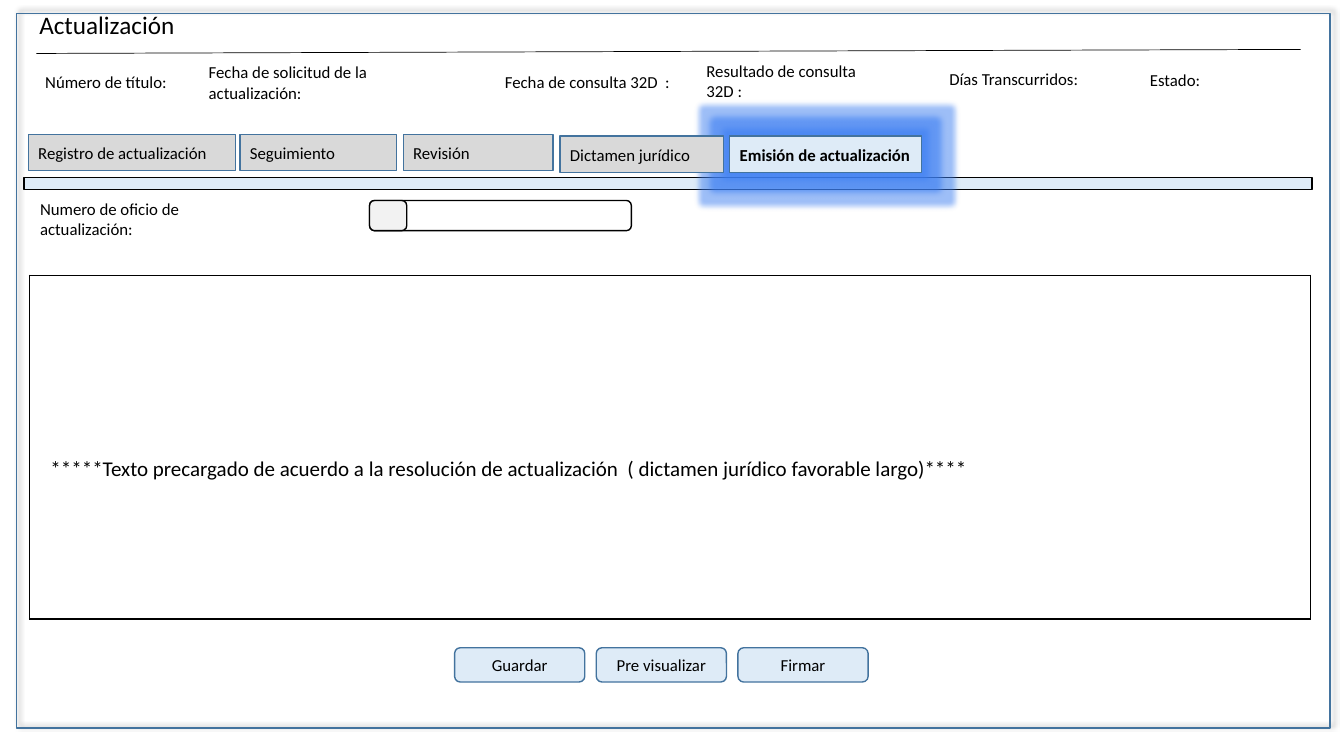
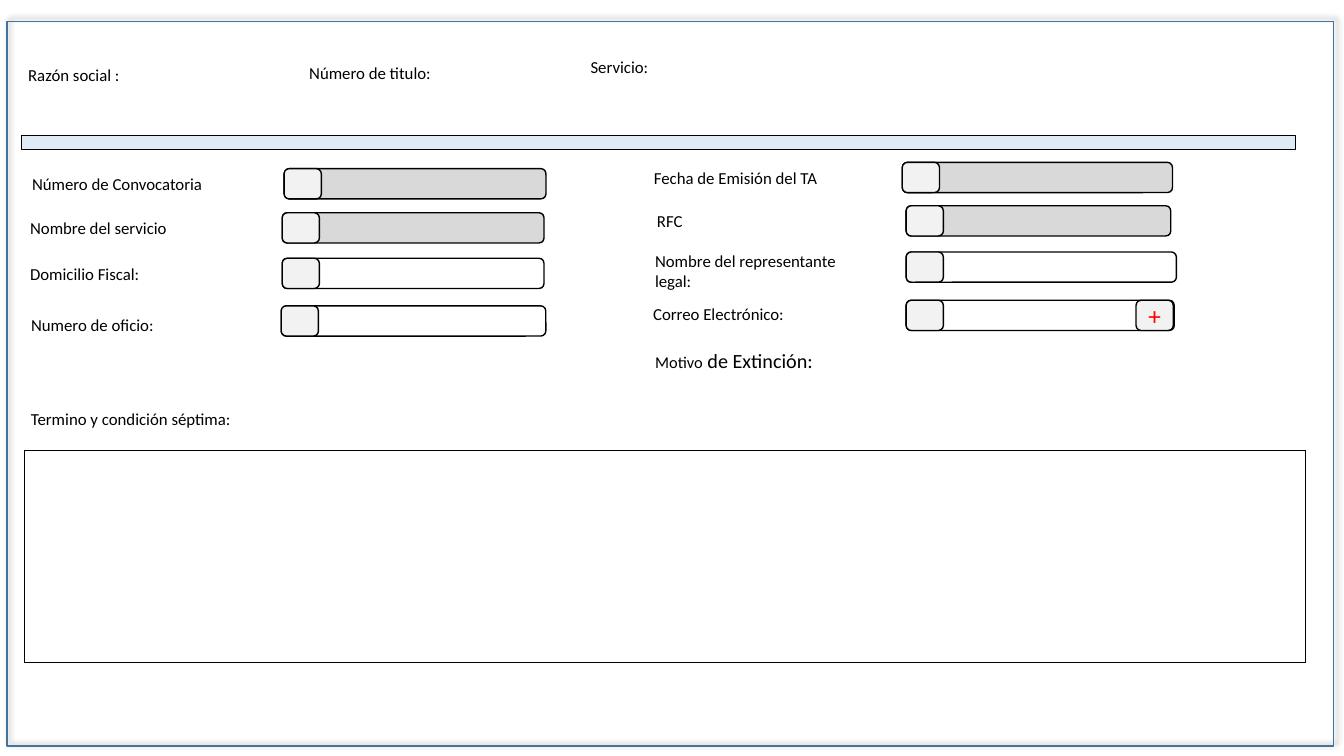
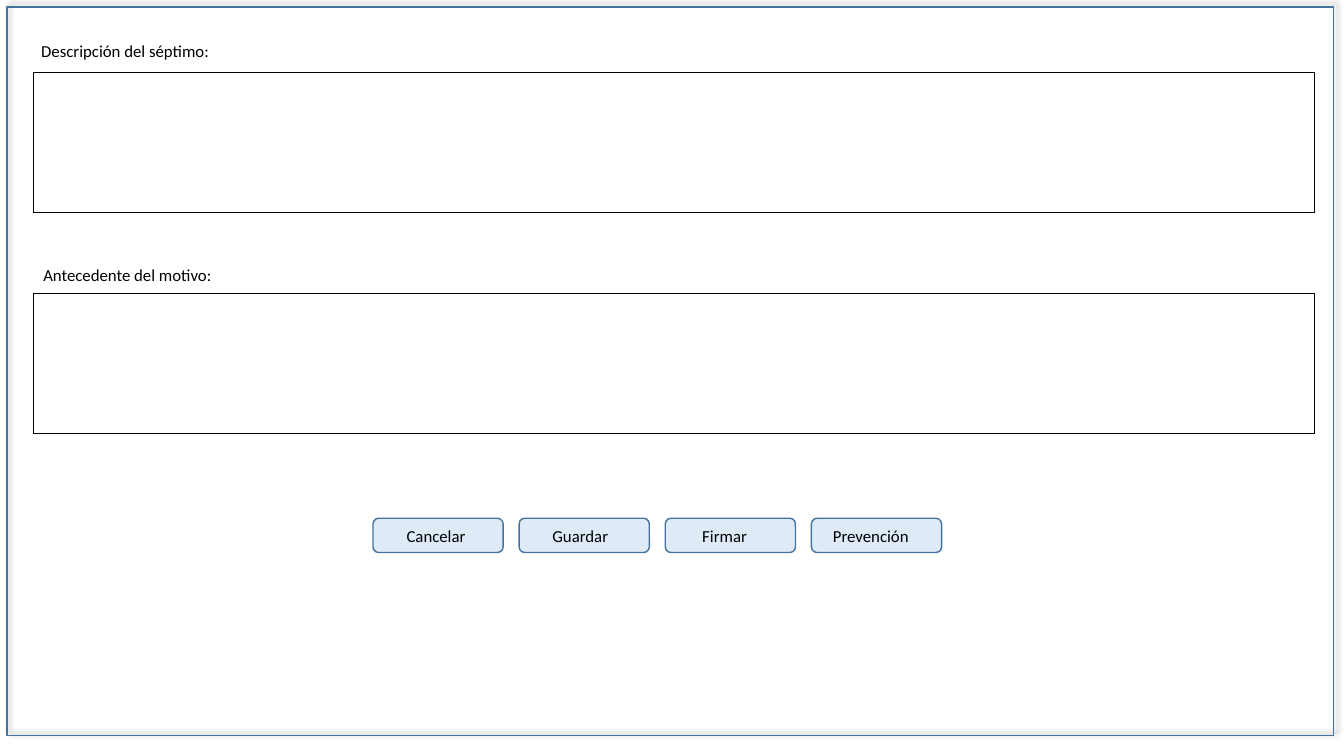
from dataclasses import dataclass

from lxml import etree
from pptx import Presentation
from pptx.dml.color import RGBColor
from pptx.enum import shapes, text
from pptx.oxml import ns
from pptx.util import Pt


@dataclass(frozen=True)
class Theme:
    font: str = "Calibri"
    ink: str = "000000"
    edge: str = "43739E"
    pale: str = "DEEBF7"
    grey: str = "D9D9D9"
    cap: str = "F2F2F2"
    white: str = "FFFFFF"
    alert: str = "FF0000"
    glow: str = "3D7FF3"
    body: float = 12
    reason_start: float = 11.7
    reason_end: float = 14.4
    notice: float = 15
    title: float = 18
    hairline: float = 0.5
    line: float = 1
    inset: float = 7.2


THEME = Theme()
RECT = shapes.MSO_SHAPE.RECTANGLE
ROUND = shapes.MSO_SHAPE.ROUNDED_RECTANGLE
LEFT, CENTER = text.PP_ALIGN.LEFT, text.PP_ALIGN.CENTER


def add_node(parent, tag, **attributes):
    values = {name: str(value) for name, value in attributes.items()}
    return etree.SubElement(parent, ns.qn(tag), values)


def add_color(parent, color, opacity):
    node = add_node(parent, "a:srgbClr", val=color)
    add_node(node, "a:alpha", val=opacity * 1000)


class Form:
    """Draws the parts of a form on the current slide; lengths are in points."""

    def __init__(self, theme):
        self.theme = theme
        self.deck = Presentation()
        self.deck.slide_width, self.deck.slide_height = Pt(960), Pt(540)
        self.page = None

    def new_page(self, left, top, width, height):
        """Adds a slide with its shadowed window frame."""
        self.page = self.deck.slides.add_slide(self.deck.slide_layouts[6])
        frame = self.shape(RECT, left, top, width, height, None, self.theme.edge)
        shadow = add_node(self.effects(frame), "a:outerShdw", blurRad=Pt(4), dist=Pt(3),
                          dir=315 * 60000, algn="bl", rotWithShape=0)
        add_color(shadow, self.theme.ink, 40)

    def effects(self, shape):
        return shape._element.spPr.find(ns.qn("a:effectLst"))

    def shape(self, kind, left, top, width, height, fill, line):
        shape = self.page.shapes.add_shape(kind, Pt(left), Pt(top), Pt(width), Pt(height))
        shape.shadow.inherit = False
        if fill:
            shape.fill.solid()
            shape.fill.fore_color.rgb = RGBColor.from_string(fill)
        else:
            shape.fill.background()
        if line:
            shape.line.color.rgb = RGBColor.from_string(line)
            shape.line.width = Pt(self.theme.line)
        else:
            shape.line.fill.background()
        return shape

    def style(self, span, size, color=None, bold=False):
        span.font.name = self.theme.font
        span.font.size = Pt(size)
        span.font.bold = bold
        span.font.color.rgb = RGBColor.from_string(color or self.theme.ink)

    def put_text(self, shape, words, size=None, align=LEFT, color=None, bold=False):
        frame = shape.text_frame
        frame.text = words
        frame.word_wrap = False
        frame.vertical_anchor = text.MSO_ANCHOR.MIDDLE
        para = frame.paragraphs[0]
        para.alignment = align
        self.style(para.runs[0], size or self.theme.body, color, bold)
        return para

    def label(self, words, left, top, width=140, size=None):
        size = size or self.theme.body
        box = self.page.shapes.add_textbox(Pt(left), Pt(top), Pt(width), Pt(size * 1.2 + 7.2))
        return self.put_text(box, words, size)

    def band(self, left, top, width, height):
        self.shape(RECT, left, top, width, height, self.theme.pale, self.theme.ink)

    def rule(self, x1, y1, x2, y2):
        line = self.page.shapes.add_connector(
            shapes.MSO_CONNECTOR.STRAIGHT, Pt(x1), Pt(y1), Pt(x2), Pt(y2))
        line.line.color.rgb = RGBColor.from_string(self.theme.ink)
        line.line.width = Pt(self.theme.hairline)
        add_node(line._element.spPr, "a:effectLst")

    def halo(self, left, top, width, height):
        """Soft translucent light around the active tab."""
        halo = self.shape(RECT, left, top, width, height, self.theme.glow, None)
        color = halo._element.spPr.find(ns.qn("a:solidFill"))[0]
        add_node(color, "a:alpha", val=50000)
        add_node(self.effects(halo), "a:softEdge", rad=Pt(5))

    def tab(self, words, left, top, width, active=False):
        fill = self.theme.pale if active else self.theme.grey
        tab = self.shape(RECT, left, top, width, 26, fill, self.theme.edge)
        if active:
            glow = add_node(self.effects(tab), "a:glow", rad=Pt(9))
            add_color(glow, self.theme.glow, 60)
        self.put_text(tab, words, bold=active)

    def cap(self, left, top):
        return self.shape(ROUND, left, top, 26.6, 21.6, self.theme.cap, self.theme.ink)

    def field(self, words, label_left, label_top, left, top, width, locked=False):
        """Label, input box and the grey cap at the start of the box."""
        fill = self.theme.grey if locked else self.theme.white
        self.label(words, label_left, label_top, 170)
        self.shape(ROUND, left, top, width, 21.6, fill, self.theme.ink)
        self.cap(left, top)

    def buttons(self, left, top, step, items):
        """Row of buttons; each item is its words and the extra inset on the right."""
        for index, (words, extra) in enumerate(items):
            button = self.shape(ROUND, left + index * step, top, 93, 24.5,
                                self.theme.pale, self.theme.edge)
            self.put_text(button, words, align=CENTER)
            button.text_frame.margin_right = Pt(self.theme.inset + extra)

    def text_area(self, left, top, height):
        """One-cell table with a thin border."""
        table = self.page.shapes.add_table(
            1, 1, Pt(left), Pt(top), Pt(915), Pt(height)).table
        table.first_row = table.horz_banding = False
        cell = table.cell(0, 0)
        properties = cell._tc.get_or_add_tcPr()
        for side in "LRTB":
            border = add_node(properties, f"a:ln{side}", w=Pt(self.theme.line))
            add_color(add_node(border, "a:solidFill"), self.theme.ink, 100)
        cell.fill.background()


def update_page(form):
    form.new_page(12, 9.5, 938, 510.5)
    form.band(17.3, 126.7, 920, 8.6)
    form.rule(26, 38.2, 929, 35.3)
    for words, left, top in (
            ("Número de título:", 25.2, 47.8),
            ("Fecha de solicitud de la actualización:", 142, 48),
            ("Fecha de consulta 32D  :", 353.5, 47.8),
            ("Resultado de consulta 32D :", 497.5, 47),
            ("Días Transcurridos:", 671, 45.6),
            ("Estado:", 814.3, 46)):
        form.label(words, left, top)
    form.halo(493, 69, 195, 84)
    for words, left, top, width, active in (
            ("Registro de actualización", 20.2, 96, 148, False),
            ("Seguimiento", 171.4, 96, 112, False),
            ("Revisión", 288, 96, 107, False),
            ("Emisión de actualización", 521.3, 97.2, 137, True),
            ("Dictamen jurídico", 400, 97.2, 117, False)):
        form.tab(words, left, top, width, active)
    form.label("Actualización", 21, 3, 368, form.theme.title)
    form.text_area(21, 196.6, 245.5)
    form.label("*****Texto precargado de acuerdo a la resolución de actualización"
               "  ( dictamen jurídico favorable largo)****", 29, 322, 850, form.theme.notice)
    form.field("Numero de oficio de actualización:", 21.5, 145.5, 264, 143.2, 187)
    form.buttons(324.7, 462.7, 101.2,
                 [("Guardar", 0), ("Pre visualizar", 0), ("Firmar", 0)])


def extinction_page(form):
    theme = form.theme
    form.new_page(5, 15.3, 947.5, 517.5)
    for words, left, top in (("Razón social :", 13, 42.7),
                             ("Número de titulo:", 213.8, 41.2),
                             ("Servicio:", 414.7, 36.8)):
        form.label(words, left, top)
    form.band(15.2, 96.6, 910, 10)
    for row in (
            ("Número de Convocatoria", 15.8, 120.5, 203, 120.5, 187, True),
            ("Nombre del servicio", 14.4, 152, 201.6, 152, 187, True),
            ("Domicilio Fiscal:", 14.4, 184.5, 201.6, 184.5, 187, False),
            ("Numero de oficio:", 15.1, 221.5, 200.9, 218.5, 189, False),
            ("Fecha de Emisión del TA", 460, 116, 644.5, 116, 193, True),
            ("RFC", 462.2, 147, 647.3, 147, 189, True),
            ("Nombre del representante legal:", 460.8, 182.5, 647.3, 180, 193, False),
            ("Correo Electrónico:", 459.4, 213.5, 647.3, 214.5, 191.5, False)):
        form.field(*row)
    form.put_text(form.cap(811.5, 214.5), "+", theme.title, CENTER, theme.alert)
    reason = form.label("Motivo", 460.8, 247, 140, theme.reason_start)
    span = reason.add_run()
    span.text = " de Extinción:"
    form.style(span, theme.reason_end)
    form.label("Termino y condición séptima:", 15, 288.7, 242)
    form.text_area(17.3, 321.8, 151.2)


def background_page(form):
    form.new_page(5, 5, 947.5, 520.5)
    for words, left, label_top, area_top in (
            ("Descripción del séptimo:", 22.3, 25.2, 51.8),
            ("Antecedente del motivo:", 23.8, 185.8, 209.5)):
        form.text_area(23.8, area_top, 100)
        form.label(words, left, label_top, 242)
    form.buttons(266.4, 370.2, 104.4,
                 [("Cancelar", 2.7), ("Guardar", 5.4), ("Firmar", 8.1), ("Prevención", 8.1)])


def main():
    form = Form(THEME)
    for build in (update_page, extinction_page, background_page):
        build(form)
    form.deck.save("out.pptx")


if __name__ == "__main__":
    main()
